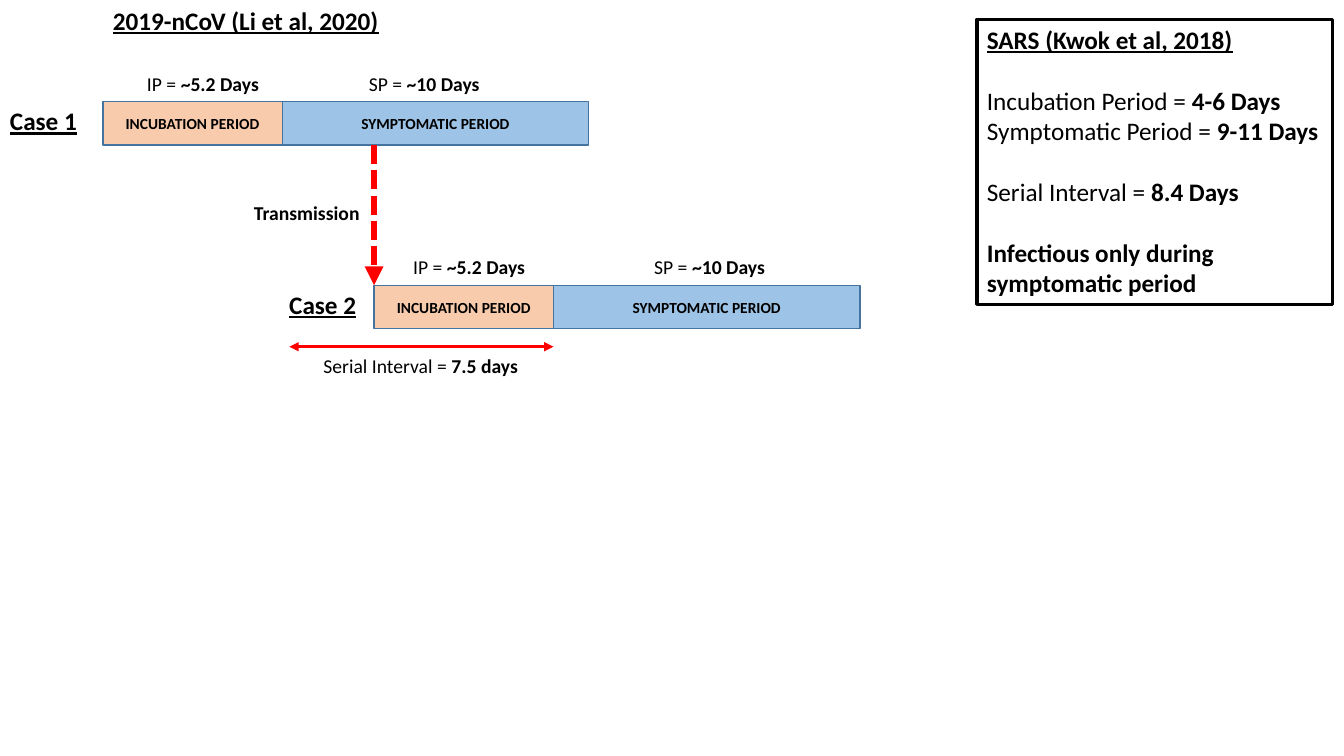
from dataclasses import dataclass

from lxml.etree import SubElement
from pptx import Presentation
from pptx.dml.color import RGBColor
from pptx.enum.dml import MSO_LINE
from pptx.enum.shapes import MSO_CONNECTOR, MSO_SHAPE
from pptx.enum.text import MSO_ANCHOR, MSO_AUTO_SIZE, PP_ALIGN
from pptx.oxml.ns import qn
from pptx.util import Inches, Pt


@dataclass(frozen=True)
class Theme:
    font: str = "Calibri"
    ink: str = "000000"
    incubation: str = "F8CBAD"
    symptomatic: str = "9DC3E6"
    bar_edge: str = "43739E"
    arrow: str = "FF0000"
    heading: int = 18
    label: int = 14
    bar: int = 11
    paragraph_gap: int = 22


THEME = Theme()

# A run is (text, style); the style letters are b for bold and u for underlined.
TITLE = [("2019-nCoV (Li et al, 2020)", "bu")]
INCUBATION = [("IP = ", ""), ("~5.2 Days", "b")]
SYMPTOMATIC = [("SP = ", ""), ("~10 Days", "b")]
SERIAL_INTERVAL = [("Serial Interval = ", ""), ("7.5 days", "b")]
TRANSMISSION = [("Transmission", "b")]

# Case name, its left and width, bar left and top, lefts of the two duration labels
CASES = [
    ("Case 1", 0, 0.88, 1.02, 1.01, 1.36, 3.56),
    ("Case 2", 2.77, 0.87, 3.71, 2.83, 4.0, 6.39),
]

# Runs of each line, and whether a gap stands above it
SARS = [
    ([("SARS (Kwok et al, 2018)", "bu")], False),
    ([("Incubation Period = ", ""), ("4-6 Days", "b")], True),
    ([("Symptomatic Period = ", ""), ("9-11 Days", "b")], False),
    ([("Serial Interval = ", ""), ("8.4 Days", "b")], True),
    ([("Infectious only during symptomatic period", "b")], True),
]

INCUBATION_WIDTH, SYMPTOMATIC_WIDTH, BAR_HEIGHT = 1.78, 3.04, 0.43
LABEL_HEIGHT, HEADING_HEIGHT = 0.34, 0.4
SERIAL_START, SERIAL_DROP = 2.87, 0.18


def color(code):
    return RGBColor.from_string(code)


def box(left, top, width, height):
    return [Inches(value) for value in (left, top, width, height)]


def add_runs(paragraph, runs, size):
    for text, style in runs:
        run = paragraph.add_run()
        run.text = text
        font = run.font
        font.name, font.size = THEME.font, Pt(size)
        font.bold, font.underline = "b" in style, "u" in style
        font.color.rgb = color(THEME.ink)


def add_label(slide, left, top, width, runs, size=THEME.label, height=LABEL_HEIGHT):
    frame = slide.shapes.add_textbox(*box(left, top, width, height)).text_frame
    frame.word_wrap = False
    frame.auto_size = MSO_AUTO_SIZE.SHAPE_TO_FIT_TEXT
    add_runs(frame.paragraphs[0], runs, size)


def add_rectangle(slide, area, edge, edge_width, fill=None):
    shape = slide.shapes.add_shape(MSO_SHAPE.RECTANGLE, *box(*area))
    shape.shadow.inherit = False
    if fill:
        shape.fill.solid()
        shape.fill.fore_color.rgb = color(fill)
    else:
        shape.fill.background()
    shape.line.color.rgb = color(edge)
    shape.line.width = Pt(edge_width)
    return shape


def add_period(slide, left, top, width, name, fill):
    area = (left, top, width, BAR_HEIGHT)
    frame = add_rectangle(slide, area, THEME.bar_edge, 1, fill).text_frame
    frame.vertical_anchor = MSO_ANCHOR.MIDDLE
    frame.paragraphs[0].alignment = PP_ALIGN.CENTER
    add_runs(frame.paragraphs[0], [(name, "b")], THEME.bar)


def add_arrow(slide, start, end, width, ends, dash=None):
    points = [Inches(value) for value in (*start, *end)]
    connector = slide.shapes.add_connector(MSO_CONNECTOR.STRAIGHT, *points)
    line = connector.line
    line.color.rgb = color(THEME.arrow)
    line.width = Pt(width)
    if dash:
        line.dash_style = dash
    properties = connector._element.spPr
    for end_name in ends:
        SubElement(properties.find(qn("a:ln")), qn(f"a:{end_name}"), type="triangle")
    SubElement(properties, qn("a:effectLst"))


def add_title(slide):
    title = slide.shapes.title
    title.left, title.top, title.width, title.height = box(1.02, 0, 2.88, HEADING_HEIGHT)
    frame = title.text_frame
    frame.word_wrap = False
    frame.auto_size = MSO_AUTO_SIZE.NONE
    frame.vertical_anchor = MSO_ANCHOR.TOP
    frame.paragraphs[0].alignment = PP_ALIGN.LEFT
    add_runs(frame.paragraphs[0], TITLE, THEME.heading)


def add_case(slide, name, name_left, name_width, left, top, ip_left, sp_left):
    middle = left + INCUBATION_WIDTH
    add_period(slide, middle, top, SYMPTOMATIC_WIDTH, "SYMPTOMATIC PERIOD", THEME.symptomatic)
    add_period(slide, left, top, INCUBATION_WIDTH, "INCUBATION PERIOD", THEME.incubation)
    add_label(slide, name_left, top - 0.01, name_width, [(name, "bu")],
              THEME.heading, HEADING_HEIGHT)
    label_top = top - LABEL_HEIGHT - 0.01
    add_label(slide, ip_left, label_top, 1.36, INCUBATION)
    add_label(slide, sp_left, label_top, 1.34, SYMPTOMATIC)


def add_sars_box(slide):
    frame = add_rectangle(slide, (9.69, 0.19, 3.53, 2.83), THEME.ink, 2.25).text_frame
    frame.word_wrap = True
    frame.vertical_anchor = MSO_ANCHOR.TOP
    for index, (runs, gap) in enumerate(SARS):
        paragraph = frame.add_paragraph() if index else frame.paragraphs[0]
        paragraph.alignment = PP_ALIGN.LEFT
        if gap:
            paragraph.space_before = Pt(THEME.paragraph_gap)
        add_runs(paragraph, runs, THEME.heading)


def main():
    presentation = Presentation()
    presentation.slide_width, presentation.slide_height = Inches(13.33), Inches(7.5)
    slide = presentation.slides.add_slide(presentation.slide_layouts[5])
    add_title(slide)
    for case in CASES:
        add_case(slide, *case)

    first_top = CASES[0][4]
    second_left, second_top = CASES[1][3:5]
    add_arrow(slide, (second_left, first_top + BAR_HEIGHT), (second_left, second_top),
              4.5, ["tailEnd"], MSO_LINE.SQUARE_DOT)
    add_label(slide, 2.42, 1.94, 1.26, TRANSMISSION)

    serial_y = second_top + BAR_HEIGHT + SERIAL_DROP
    add_arrow(slide, (SERIAL_START, serial_y), (second_left + INCUBATION_WIDTH, serial_y),
              2.25, ["headEnd", "tailEnd"])
    add_label(slide, 3.11, serial_y + 0.02, 2.14, SERIAL_INTERVAL)
    add_sars_box(slide)
    presentation.save("out.pptx")


if __name__ == "__main__":
    main()
